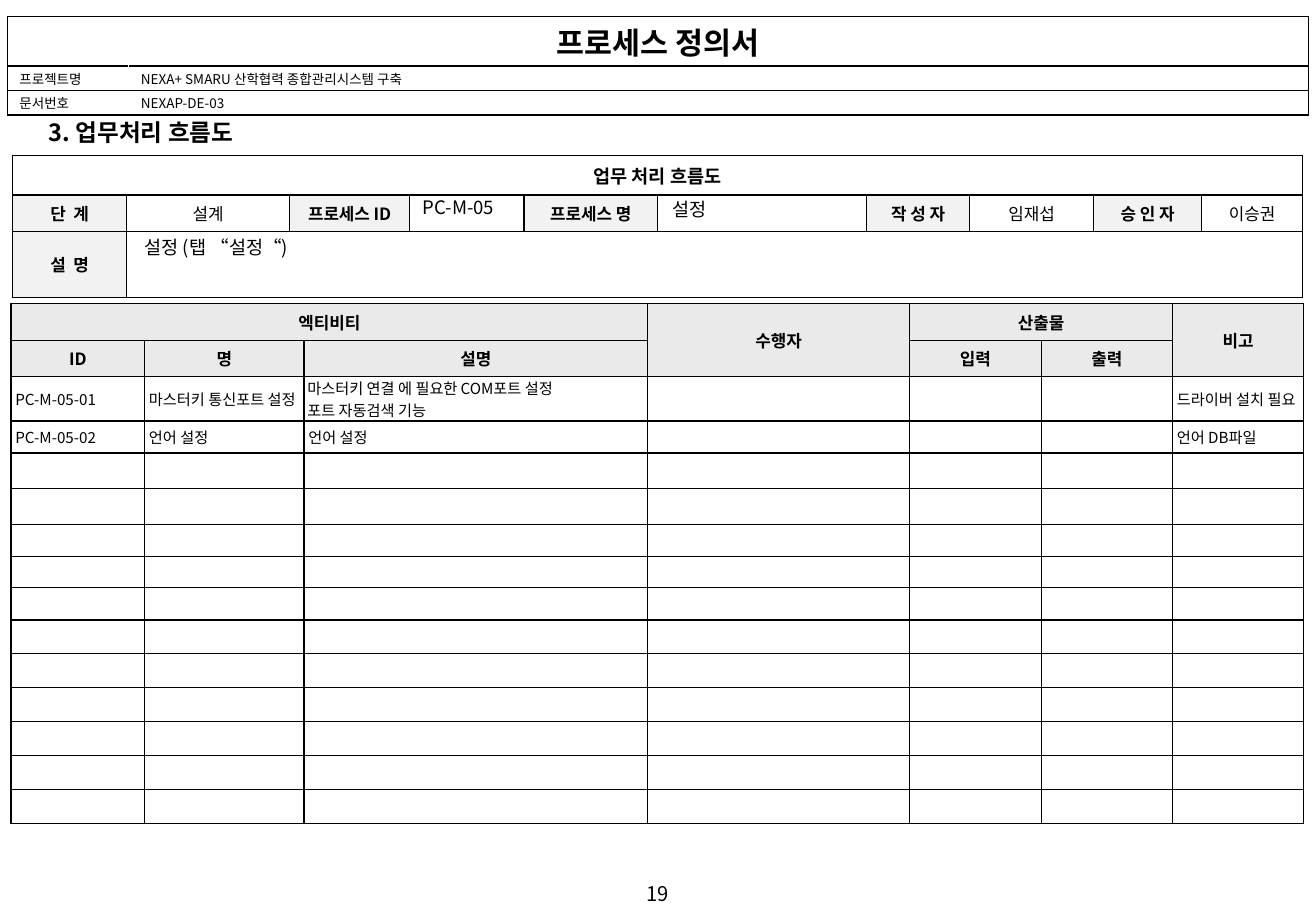
import pptx
import pptx.util
import pptx.dml.color
import pptx.enum.text
import pptx.oxml
import pptx.oxml.ns

Pt = pptx.util.Pt
ALIGN = pptx.enum.text.PP_ALIGN
ANCHOR = pptx.enum.text.MSO_ANCHOR
RGBColor = pptx.dml.color.RGBColor
BLACK = RGBColor(0, 0, 0)
WHITE = RGBColor(255, 255, 255)
PALE = RGBColor(0xF2, 0xF2, 0xF2)
GRAY = RGBColor(0xEA, 0xEA, 0xEA)
FONT = "Noto Sans CJK KR"
NS = pptx.oxml.ns.nsdecls("a")


def add_run(para, text, size, bold=False):
    run = para.add_run()
    run.text = text
    font = run.font
    font.size, font.bold = Pt(size), bold
    font.color.rgb = BLACK
    font.name = FONT
    font._element.append(pptx.oxml.parse_xml(f'<a:ea {NS} typeface="{FONT}"/>'))


def set_text(shape, box, text, size, bold=False, align=ALIGN.LEFT):
    shape.left, shape.top, shape.width, shape.height = [Pt(v) for v in box]
    frame = shape.text_frame
    frame.word_wrap = True
    frame.auto_size = pptx.enum.text.MSO_AUTO_SIZE.NONE
    frame.vertical_anchor = ANCHOR.TOP
    para = frame.paragraphs[0]
    para.alignment = align
    add_run(para, text, size, bold)


def add_label(slide, box, text, size, align=ALIGN.LEFT):
    shape = slide.shapes.add_textbox(0, 0, 0, 0)
    set_text(shape, box, text, size, align=align)


def add_grid(slide, left, top, cols, rows, spans=()):
    frame = slide.shapes.add_table(len(rows), len(cols), Pt(left), Pt(top),
                                   Pt(sum(cols)), Pt(sum(rows)))
    table = frame.table
    table.first_row = table.horz_banding = False
    for col, width in zip(table.columns, cols):
        col.width = Pt(width)
    for row, height in zip(table.rows, rows):
        row.height = Pt(height)
    for start, end in spans:
        table.cell(*start).merge(table.cell(*end))
    return table


def set_cell(cell, text, size, bold=False, align=ALIGN.CENTER, fill=None,
             pad=(7.2, 3.6), anchor=ANCHOR.MIDDLE):
    cell.margin_left = cell.margin_right = Pt(pad[0])
    cell.margin_top = cell.margin_bottom = Pt(pad[1])
    cell.vertical_anchor = anchor
    if fill is None:
        cell.fill.background()
    else:
        cell.fill.solid()
        cell.fill.fore_color.rgb = fill
    frame = cell.text_frame
    for i, line in enumerate(text.split("\n")):
        para = frame.add_paragraph() if i else frame.paragraphs[0]
        para.alignment = align
        if line:
            add_run(para, line, size, bold)
        else:
            # Keep an empty cell from stretching its row
            para._p.append(pptx.oxml.parse_xml(
                f'<a:endParaRPr {NS} sz="{size * 100}"/>'))


def set_edges(cell, widths, colors):
    props = cell._tc.get_or_add_tcPr()
    for i, side in enumerate("LRTB"):
        props.insert(i, pptx.oxml.parse_xml(
            f'<a:ln{side} {NS} w="{Pt(widths[i])}"><a:solidFill>'
            f'<a:srgbClr val="{colors[i]}"/></a:solidFill></a:ln{side}>'))


def draw_edges(table, thick):
    """Thick outer sides are named by letters; all others are thin."""
    high, wide = len(table.rows), len(table.columns)
    for r in range(high):
        for c in range(wide):
            cell = table.cell(r, c)
            outer = (c == 0, c + cell.span_width == wide,
                     r == 0, r + cell.span_height == high)
            widths = [1 if hit and side in thick else 0.75
                      for hit, side in zip(outer, "LRTB")]
            set_edges(cell, widths, [BLACK] * 4)


def add_header(slide):
    table = add_grid(slide, 4.3, 9.8, [72, 699.2], [29.3, 14.3, 14.5],
                     [((0, 0), (0, 1))])
    pad = (7.2, 1.44)
    set_cell(table.cell(0, 0), "프로세스 정의서", 18, True, fill=WHITE,
             pad=pad, anchor=ANCHOR.TOP)
    for c in range(2):
        set_edges(table.cell(0, c), [1] * 4, [BLACK] * 4)
    facts = [("프로젝트명", "NEXA+ SMARU 산학협력 종합관리시스템 구축"),
             ("문서번호", "NEXAP-DE-03")]
    for r, pair in enumerate(facts, 1):
        for c, text in enumerate(pair):
            cell = table.cell(r, c)
            set_cell(cell, text, 8, align=ALIGN.LEFT, fill=WHITE, pad=pad,
                     anchor=ANCHOR.TOP)
            colors = [BLACK] * 4
            colors[1 - c] = WHITE
            set_edges(cell, [1] * 4, colors)


def add_summary(slide):
    cols = [67.7, 96.5, 71.3, 67.7, 79.2, 123.8, 61.2, 73.4, 64.1, 59.8]
    table = add_grid(slide, 7.4, 92.2, cols, [23.4, 21.7, 39.1],
                     [((0, 0), (0, 9)), ((2, 1), (2, 9))])
    set_cell(table.cell(0, 0), "업무 처리 흐름도", 11, True, fill=WHITE)
    texts = ["단  계", "설계", "프로세스 ID", "", "프로세스 명", "",
             "작 성 자", "임재섭", "승 인 자", "이승권"]
    for c, text in enumerate(texts):
        head = c % 2 == 0
        set_cell(table.cell(1, c), text, 10, head, fill=PALE if head else WHITE)
    set_cell(table.cell(2, 0), "설  명", 10, True, fill=PALE)
    set_cell(table.cell(2, 1), "", 10, fill=WHITE)
    draw_edges(table, "LRTB")


def add_steps(slide):
    cols = [79.2, 94.5, 203.7, 155.3, 78, 77.8, 77.8]
    rows = [21.9, 21.7, 26.1, 19, 21.3, 21.3, 19, 18.4, 19] + [20.15] * 6
    spans = [((0, 0), (0, 2)), ((0, 3), (1, 3)),
             ((0, 4), (0, 5)), ((0, 6), (1, 6))]
    table = add_grid(slide, 6.5, 179.8, cols, rows, spans)
    heads = [["엑티비티", "", "", "수행자", "산출물", "", "비고"],
             ["ID", "명", "설명", "", "입력", "출력", ""]]
    steps = [["PC-M-05-01", "마스터키 통신포트 설정",
              "마스터키 연결 에 필요한 COM포트 설정\n포트 자동검색 기능",
              "", "", "", "드라이버 설치 필요"],
             ["PC-M-05-02", "언어 설정", "언어 설정", "", "", "", "언어 DB파일"]]
    for r in range(len(rows)):
        for c in range(len(cols)):
            cell = table.cell(r, c)
            if r < 2:
                set_cell(cell, heads[r][c], 10, True, fill=GRAY)
            else:
                text = steps[r - 2][c] if r - 2 < len(steps) else ""
                pad = (2, 0) if "\n" in text else (2.6, 2.6)
                set_cell(cell, text, 9, align=ALIGN.LEFT, pad=pad)
    draw_edges(table, "LB")


def main():
    deck = pptx.Presentation()
    deck.slide_width, deck.slide_height = Pt(780), Pt(540)
    slide = deck.slides.add_slide(deck.slide_layouts[5])

    # Section title
    set_text(slide.shapes.title, (21.6, 66.2, 160, 24.5),
             "3. 업무처리 흐름도", 14, True)

    # Tables
    add_header(slide)
    add_summary(slide)
    add_steps(slide)

    # Process details
    add_label(slide, (243.4, 112.3, 67, 21), "PC-M-05", 11)
    add_label(slide, (391.7, 113.8, 123, 21), "설정", 11)
    add_label(slide, (78.5, 136.1, 686, 21), "설정 (탭 “설정“)", 11)

    # Page number
    add_label(slide, (0, 519, 780, 21), "19", 12, ALIGN.CENTER)
    deck.save("out.pptx")


if __name__ == "__main__":
    main()
